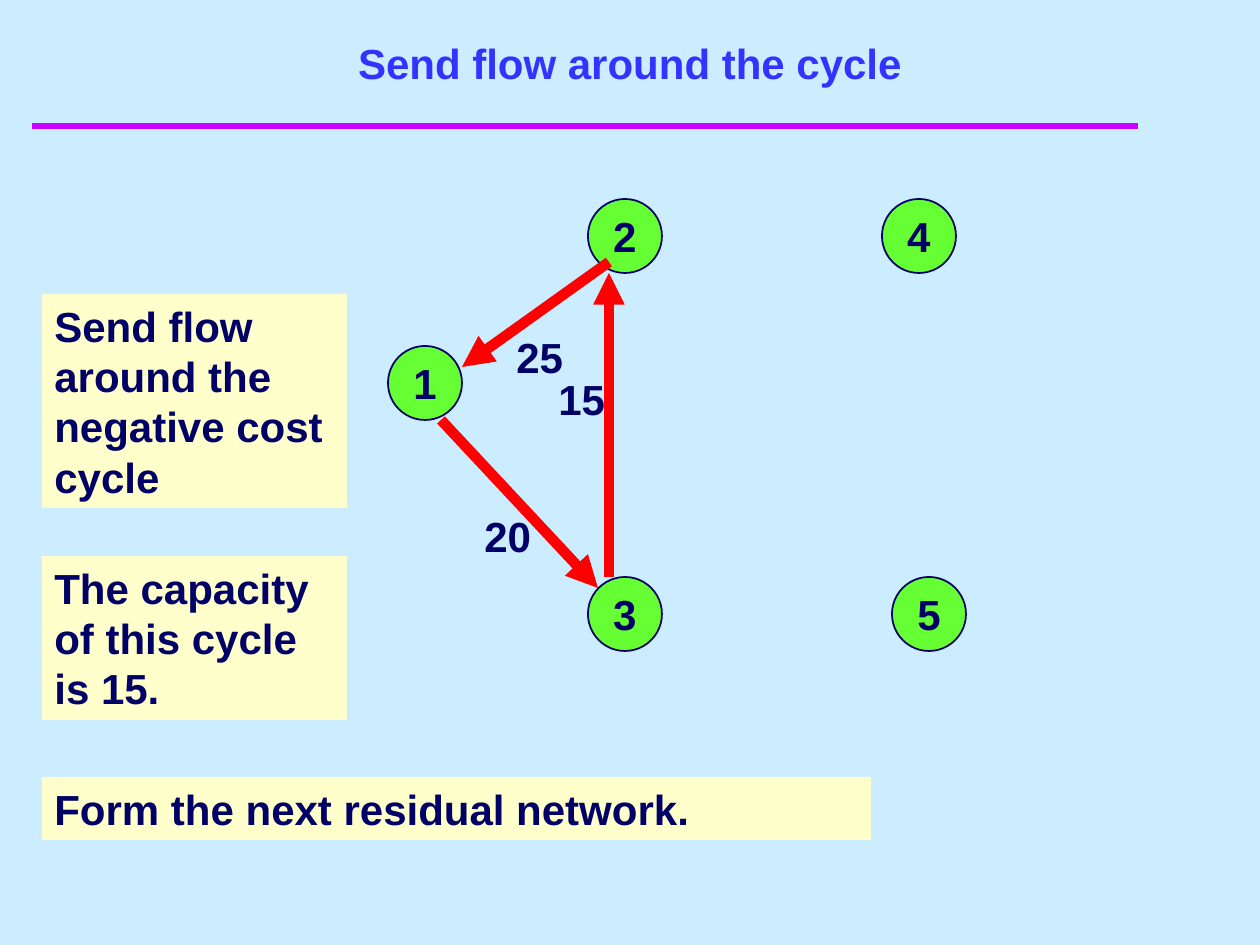
from lxml import etree
from pptx import Presentation
from pptx.dml.color import RGBColor as RGB
from pptx.enum.shapes import MSO_CONNECTOR as LINK, MSO_SHAPE as SHAPE
from pptx.enum.text import MSO_ANCHOR as ANCHOR, MSO_AUTO_SIZE as AUTO, PP_ALIGN as ALIGN
from pptx.oxml.ns import qn
from pptx.util import Pt

PX = 914400 / 126
HUES = {"sky": "CCECFF", "rule": "CC00FF", "title": "3333FF", "ink": "000066",
        "note": "FFFFCC", "node": "66FF33", "flow": "FF0000"}


def write(item, text, hue="ink", align=ALIGN.LEFT, anchor=ANCHOR.TOP, wrap=True):
    frame = item.text_frame
    frame.text = text
    frame.word_wrap = wrap
    frame.vertical_anchor = anchor
    para = frame.paragraphs[0]
    para.alignment = align
    font = para.runs[0].font
    font.name, font.size, font.bold = "Arial", Pt(24), True
    font.color.rgb = RGB.from_string(HUES[hue])


def draw(ends, hue, width, arrow=False):
    line = slide.shapes.add_connector(LINK.STRAIGHT, *[round(v * PX) for v in ends])
    line.line.color.rgb = RGB.from_string(HUES[hue])
    line.line.width = Pt(width)
    if arrow:
        etree.SubElement(line.line._get_or_add_ln(), qn("a:tailEnd"), type="triangle")
    etree.SubElement(line._element.spPr, qn("a:effectLst"))


deck = Presentation()
deck.slide_width, deck.slide_height = round(1260 * PX), round(945 * PX)
slide = deck.slides.add_slide(deck.slide_layouts[6])
back = slide.background.fill
back.solid()
back.fore_color.rgb = RGB.from_string(HUES["sky"])

# Title and rule
draw((32, 126, 1138, 126), "rule", 4)
title = slide.shapes.add_textbox(*[round(v * PX) for v in (63, 16, 1134, 78)])
write(title, "Send flow around the cycle", "title", ALIGN.CENTER, ANCHOR.BOTTOM)

# Notes
notes = [("Send flow around the negative cost cycle", 294, 305, 214),
         ("The capacity of this cycle is 15.", 556, 305, 164),
         ("Form the next residual network.", 777, 829, 63)]
for text, top, wide, high in notes:
    note = slide.shapes.add_shape(SHAPE.RECTANGLE, *[round(v * PX) for v in (42, top, wide, high)])
    note.shadow.inherit = False
    note.fill.solid()
    note.fill.fore_color.rgb = RGB.from_string(HUES["note"])
    note.line.fill.background()
    write(note, text)
    note.text_frame.auto_size = AUTO.SHAPE_TO_FIT_TEXT

# Network nodes
nodes = [("1", 388, 346), ("2", 588, 199), ("4", 882, 199), ("3", 588, 577), ("5", 892, 577)]
for name, left, top in nodes:
    node = slide.shapes.add_shape(SHAPE.OVAL, *[round(v * PX) for v in (left, top, 74, 74)])
    node.shadow.inherit = False
    node.fill.solid()
    node.fill.fore_color.rgb = RGB.from_string(HUES["node"])
    node.line.color.rgb = RGB.from_string(HUES["ink"])
    node.line.width = Pt(1)
    write(node, name, align=ALIGN.CENTER, anchor=ANCHOR.MIDDLE, wrap=False)

# Flow around the cycle
for ends in [(441, 420, 598, 588), (609, 262, 462, 367), (609, 577, 609, 273)]:
    draw(ends, "flow", 6, arrow=True)

# Arc capacities
for text, left, top, wide in [("20", 472, 504, 84), ("25", 504, 325, 147), ("15", 546, 367, 147)]:
    label = slide.shapes.add_textbox(*[round(v * PX) for v in (left, top, wide, 63)])
    write(label, text)
    label.text_frame.auto_size = AUTO.SHAPE_TO_FIT_TEXT

deck.save("out.pptx")
